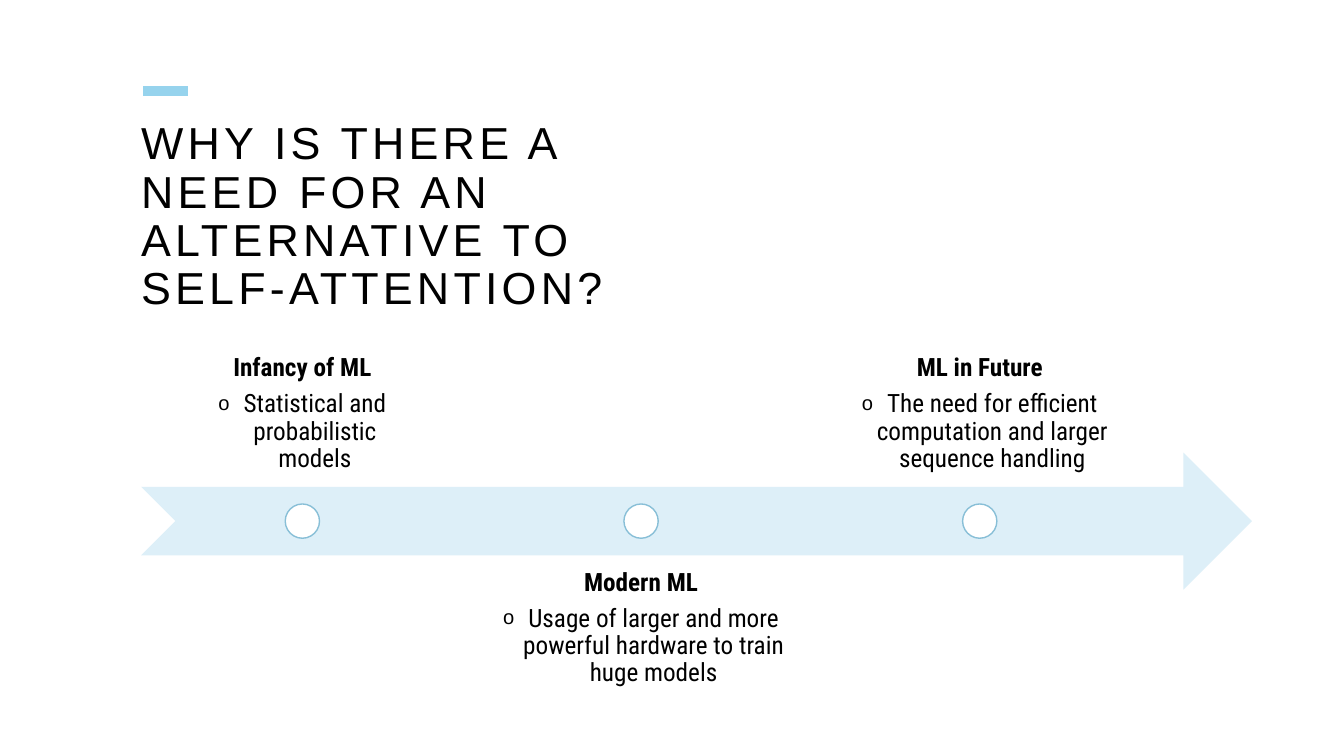
from dataclasses import dataclass

from lxml import etree
from pptx import Presentation
from pptx.dml.color import RGBColor
from pptx.enum.shapes import MSO_CONNECTOR, MSO_SHAPE
from pptx.enum.text import MSO_ANCHOR, PP_ALIGN
from pptx.oxml.ns import qn
from pptx.util import Pt

BLACK = RGBColor(0x00, 0x00, 0x00)
WHITE = RGBColor(0xFF, 0xFF, 0xFF)
ACCENT_BLUE = RGBColor(0x96, 0xD3, 0xED)
PALE_BLUE = RGBColor(0xDD, 0xEF, 0xF8)
RING_BLUE = RGBColor(0x88, 0xBF, 0xD7)

STRAIGHT = MSO_CONNECTOR.STRAIGHT
ARROW = MSO_SHAPE.NOTCHED_RIGHT_ARROW
ELLIPSE = MSO_SHAPE.OVAL
TOP, BOTTOM = MSO_ANCHOR.TOP, MSO_ANCHOR.BOTTOM
CENTER = PP_ALIGN.CENTER

TITLE = "WHY IS THERE A NEED FOR AN ALTERNATIVE TO SELF-ATTENTION?"
STAGES = [
    ("Infancy of ML", "Statistical and probabilistic models", 175),
    ("Modern ML", "Usage of larger and more powerful hardware to train huge models", 230.4),
    ("ML in Future", "The need for efficient computation and larger sequence handling", 230.4),
]
FIRST_STAGE = 115.2
STAGE_STEP = 241.92


@dataclass
class Box:
    """A rectangle in points."""
    left: float
    top: float
    width: float
    height: float

    def lengths(self):
        """Return the four lengths for python-pptx."""
        return Pt(self.left), Pt(self.top), Pt(self.width), Pt(self.height)


def add_text_frame(page, box, inset, anchor):
    """Add a wrapping text box and return its frame."""
    frame = page.shapes.add_textbox(*box.lengths()).text_frame
    frame.word_wrap = True
    frame.vertical_anchor = anchor
    frame.margin_left = frame.margin_right = Pt(inset)
    frame.margin_top = frame.margin_bottom = Pt(inset)
    return frame


def add_span(para, text, size, font, bold=False):
    """Add one black run with tight line spacing."""
    para.line_spacing = 0.9
    span = para.add_run()
    span.text = text
    span.font.size = Pt(size)
    span.font.name = font
    span.font.bold = bold
    span.font.color.rgb = BLACK
    return span


def add_bullet(para):
    """Give a paragraph a small hanging round bullet."""
    properties = para._p.get_or_add_pPr()
    properties.set("marL", str(Pt(18)))
    properties.set("indent", str(Pt(-18)))
    for tag, name, value in (("a:buSzPct", "val", "80000"),
                             ("a:buFont", "typeface", "Arial"),
                             ("a:buChar", "char", "o")):
        etree.SubElement(properties, qn(tag)).set(name, value)


def add_filled_shape(page, kind, box, color):
    """Add a flat preset shape without an outline."""
    shape = page.shapes.add_shape(kind, *box.lengths())
    shape.shadow.inherit = False
    shape.fill.solid()
    shape.fill.fore_color.rgb = color
    shape.line.fill.background()
    return shape


def add_title(page, box):
    """Place the accent dash and the spaced title below it."""
    left, dash_y = box.left + 1.44, box.top - 21.6
    dash = page.shapes.add_connector(
        STRAIGHT, Pt(left), Pt(dash_y), Pt(left + 32.4), Pt(dash_y))
    dash.line.color.rgb = ACCENT_BLUE
    dash.line.width = Pt(7)
    etree.SubElement(dash._element.spPr, qn("a:effectLst"))
    frame = add_text_frame(page, box, 0, TOP)
    span = add_span(frame.paragraphs[0], TITLE, 32, "Arial")
    span.font._element.set("spc", "300")


def add_label(page, box, anchor, heading, detail):
    """Write a stage heading with its bulleted detail."""
    frame = add_text_frame(page, box, 10, anchor)
    head = frame.paragraphs[0]
    add_span(head, heading, 18, "Roboto Condensed", True)
    head.space_after = Pt(6.3)
    body = frame.add_paragraph()
    body.level = 1
    add_span(body, detail, 18, "Roboto Condensed")
    body.space_after = Pt(2.7)
    add_bullet(body)
    for para in (head, body):
        para.alignment = CENTER


def add_timeline(page, box):
    """Draw the arrow with stages labelled above and below in turn."""
    add_filled_shape(page, ARROW, box, PALE_BLUE)
    middle = box.top + box.height / 2
    marker = box.height / 4
    for index, (heading, detail, width) in enumerate(STAGES):
        center = box.left + FIRST_STAGE + index * STAGE_STEP
        above = index % 2 == 0
        top = middle - marker - box.height if above else middle + marker
        label = Box(center - width / 2, top, width, box.height)
        add_label(page, label, BOTTOM if above else TOP, heading, detail)
        spot = Box(center - marker / 2, middle - marker / 2, marker, marker)
        ring = add_filled_shape(page, ELLIPSE, spot, WHITE)
        ring.line.color.rgb = RING_BLUE
        ring.line.width = Pt(1)


def main():
    """Build and save the one-page deck."""
    deck = Presentation()
    deck.slide_width, deck.slide_height = Pt(960), Pt(540)
    page = deck.slides.add_slide(deck.slide_layouts[6])
    add_title(page, Box(100.8, 86.4, 396, 144))
    add_timeline(page, Box(100.8, 323.28, 793.44, 97.92))
    deck.save("out.pptx")


if __name__ == "__main__":
    main()
